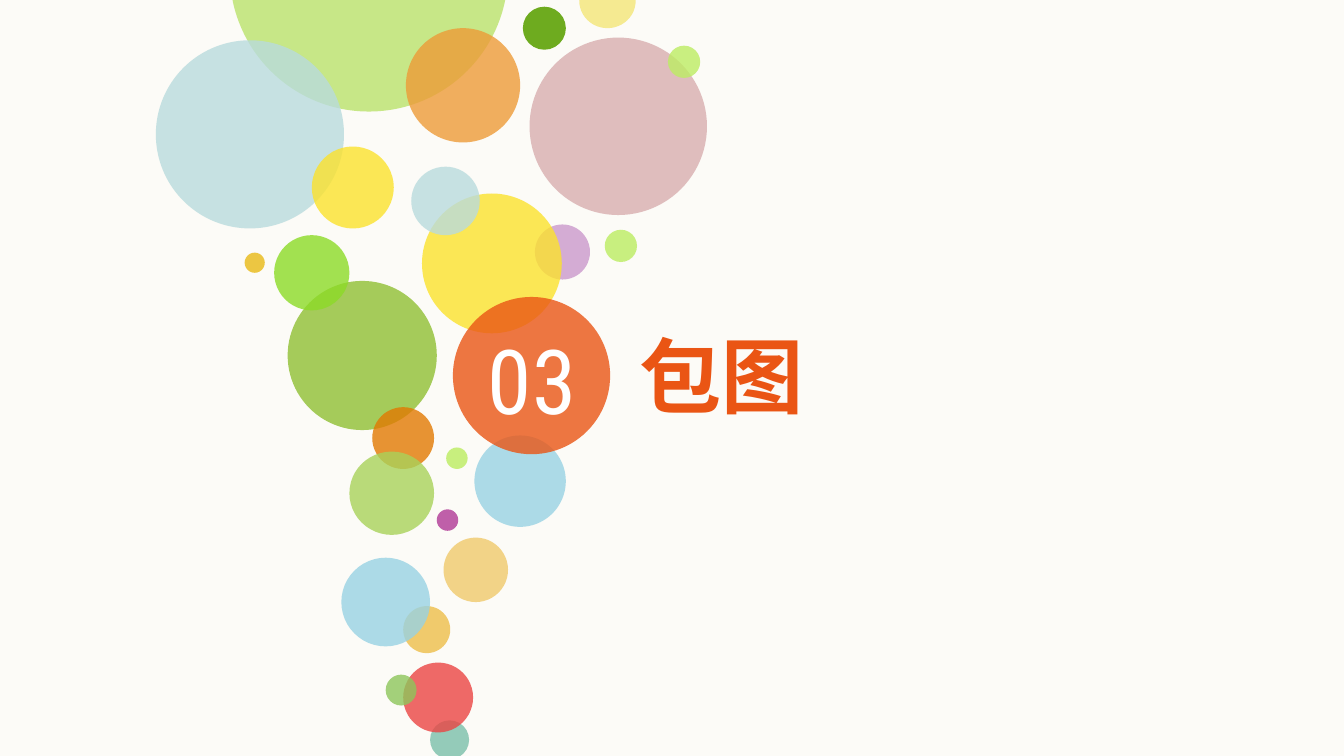
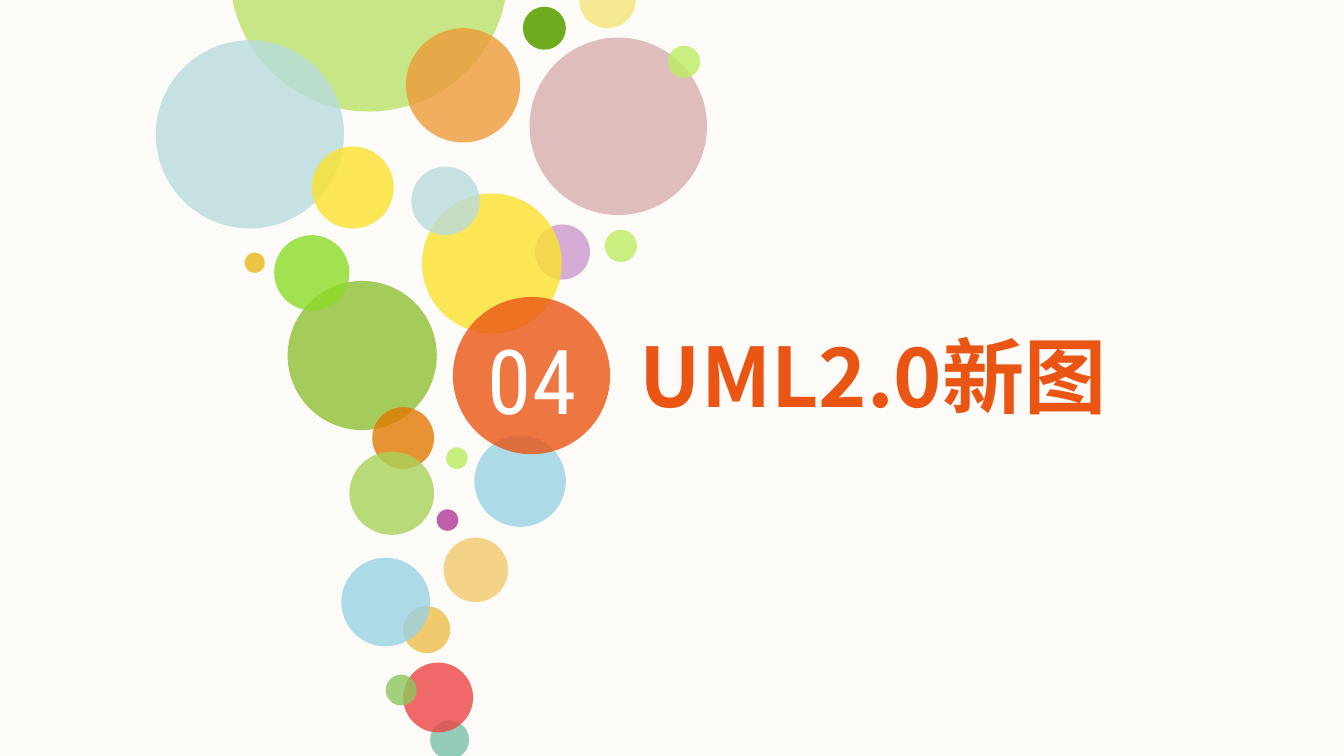
import pptx
import pptx.dml.color
import pptx.enum.shapes
import pptx.enum.text
import pptx.oxml.ns
import pptx.util
from lxml import etree

Inches = pptx.util.Inches

BACKGROUND = "FCFBF7"
ACCENT = "EA5514"
WHITE = "FFFFFF"
NUMBER_FONT = "Roboto Condensed"
TITLE_FONT = "Noto Sans CJK SC"
SOLID, SHEER = 100, 80

# left, top, width, height, colour, opacity in percent; back to front
BUBBLES = [
    (1.71, -1.24, 2.07, 2.07, "BAE36B", SHEER),
    (3.89, 0.05, 0.32, 0.32, "6EAB1F", SOLID),
    (1.16, 0.3, 1.4, 1.4, "B9DBDD", SHEER),
    (3.02, 0.21, 0.85, 0.85, "ED9B38", SHEER),
    (4.31, -0.2, 0.42, 0.41, "F5EA91", SOLID),
    (3.94, 0.28, 1.32, 1.32, "D8AEAF", SHEER),
    (2.14, 2.09, 1.11, 1.11, "A5CB5A", SOLID),
    (4.97, 0.34, 0.24, 0.24, "BDED63", SHEER),
    (4.5, 1.71, 0.24, 0.24, "BCED61", SHEER),
    (3.98, 1.67, 0.41, 0.41, "CB99CC", SHEER),
    (3.14, 1.44, 1.04, 1.04, "FBE22D", SHEER),
    (2.32, 1.09, 0.61, 0.61, "FBE22D", SHEER),
    (2.04, 1.75, 0.56, 0.56, "8CDB27", SHEER),
    (1.82, 1.88, 0.15, 0.15, "E9B915", SHEER),
    (3.32, 3.33, 0.16, 0.16, "BCED60", SHEER),
    (3.25, 3.79, 0.16, 0.16, "B03896", SHEER),
    (3.3, 4, 0.48, 0.48, "F0CA6C", SHEER),
    (3, 4.51, 0.35, 0.35, "F0CA6C", SOLID),
    (3.2, 5.36, 0.29, 0.29, "7BBFAA", SHEER),
    (3, 4.93, 0.52, 0.52, "EB4544", SHEER),
    (2.87, 5.02, 0.23, 0.23, "8DC65B", SHEER),
    (2.54, 4.15, 0.66, 0.66, "98D2E3", SHEER),
    (3.06, 1.24, 0.51, 0.51, "B9DBDD", SHEER),
    (3.53, 3.24, 0.68, 0.68, "98D2E3", SHEER),
    (2.77, 3.03, 0.46, 0.46, "E27902", SHEER),
    (2.6, 3.36, 0.63, 0.62, "A9D25A", SHEER),
]
SECTIONS = [("03", "包图"), ("04", "UML2.0新图")]


def set_fill(fill, colour, opacity=SOLID):
    fill.solid()
    fill.fore_color.rgb = pptx.dml.color.RGBColor.from_string(colour)
    if opacity < SOLID:
        srgb = fill._xPr.find(".//" + pptx.oxml.ns.qn("a:srgbClr"))
        alpha = etree.SubElement(srgb, pptx.oxml.ns.qn("a:alpha"))
        alpha.set("val", str(opacity * 1000))


def add_bubble(slide, left, top, width, height, colour, opacity):
    bubble = slide.shapes.add_shape(
        pptx.enum.shapes.MSO_SHAPE.OVAL,
        Inches(left), Inches(top), Inches(width), Inches(height))
    bubble.shadow.inherit = False
    bubble.line.fill.background()
    set_fill(bubble.fill, colour, opacity)


def add_label(slide, left, top, width, height, text, size, typeface, colour,
              bold=False, align=pptx.enum.text.PP_ALIGN.LEFT):
    label = slide.shapes.add_textbox(
        Inches(left), Inches(top), Inches(width), Inches(height))
    frame = label.text_frame
    frame.word_wrap = True
    frame.auto_size = pptx.enum.text.MSO_AUTO_SIZE.SHAPE_TO_FIT_TEXT
    frame.margin_left = frame.margin_right = 0
    frame.margin_top = frame.margin_bottom = 0
    paragraph = frame.paragraphs[0]
    paragraph.text = text
    paragraph.alignment = align
    font = paragraph.font
    font.size = pptx.util.Pt(size)
    font.bold = bold
    set_fill(font.fill, colour)
    font.name = typeface
    latin = paragraph._p.find(".//" + pptx.oxml.ns.qn("a:latin"))
    east_asian = etree.Element(pptx.oxml.ns.qn("a:ea"))
    east_asian.set("typeface", typeface)
    latin.addnext(east_asian)


def add_heading(slide, left, top, number, title):
    """Place the numbered disc and the section title beside it."""
    add_bubble(slide, left, top, 1.17, 1.17, ACCENT, SHEER)
    add_label(slide, left + 0.19, top + 0.21, 0.8, 0.81, number, 48,
              NUMBER_FONT, WHITE, align=pptx.enum.text.PP_ALIGN.CENTER)
    add_label(slide, left + 1.39, top + 0.21, 5.12, 0.74, title, 44,
              TITLE_FONT, ACCENT, bold=True)


def add_section_slide(deck, number, title):
    slide = deck.slides.add_slide(deck.slide_layouts[6])
    set_fill(slide.background.fill, BACKGROUND)
    for bubble in BUBBLES:
        add_bubble(slide, *bubble)
    add_heading(slide, 3.37, 2.21, number, title)


def main():
    deck = pptx.Presentation()
    deck.slide_width = Inches(10)
    deck.slide_height = Inches(10 * 9 / 16)
    for number, title in SECTIONS:
        add_section_slide(deck, number, title)
    deck.save("out.pptx")


if __name__ == "__main__":
    main()
